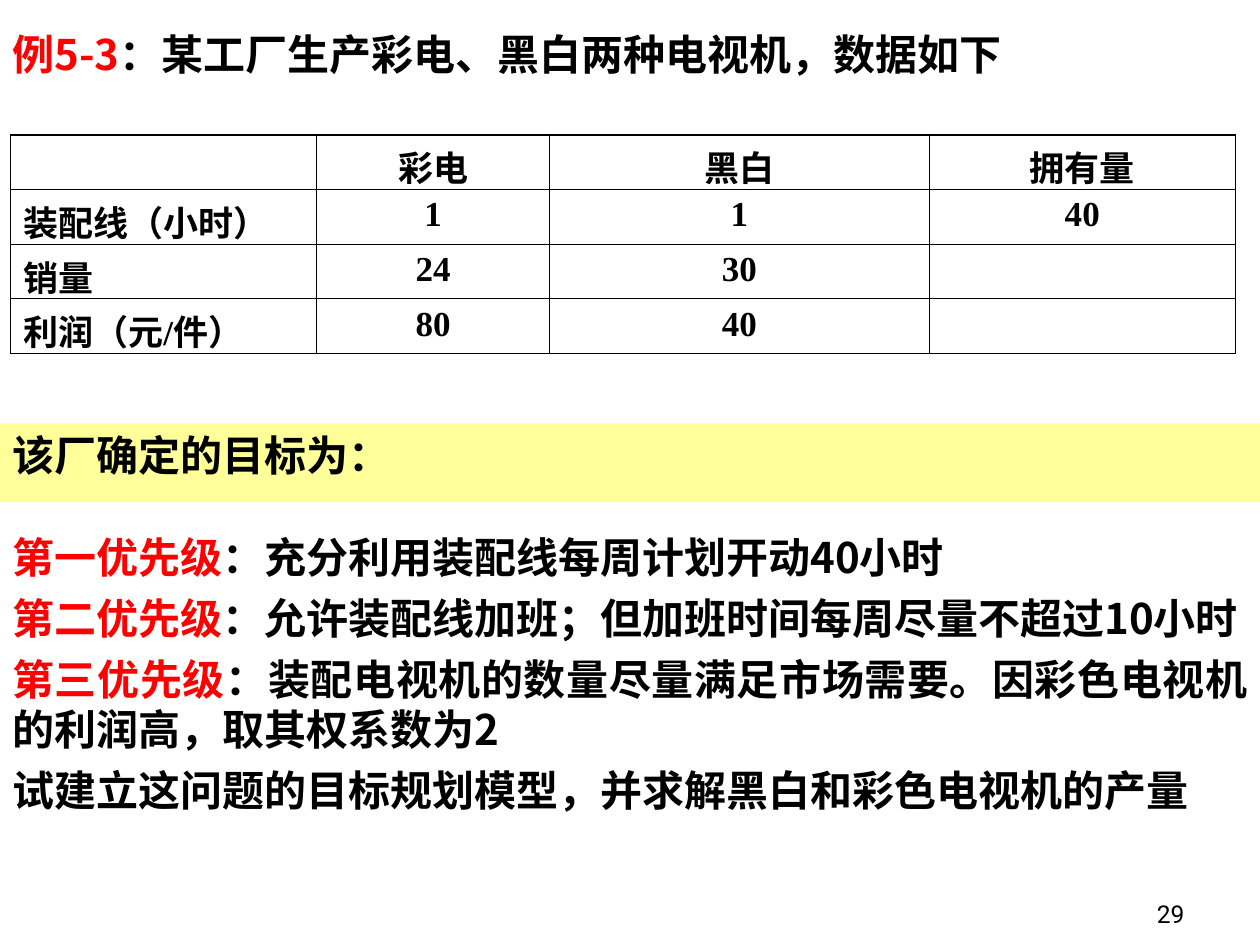
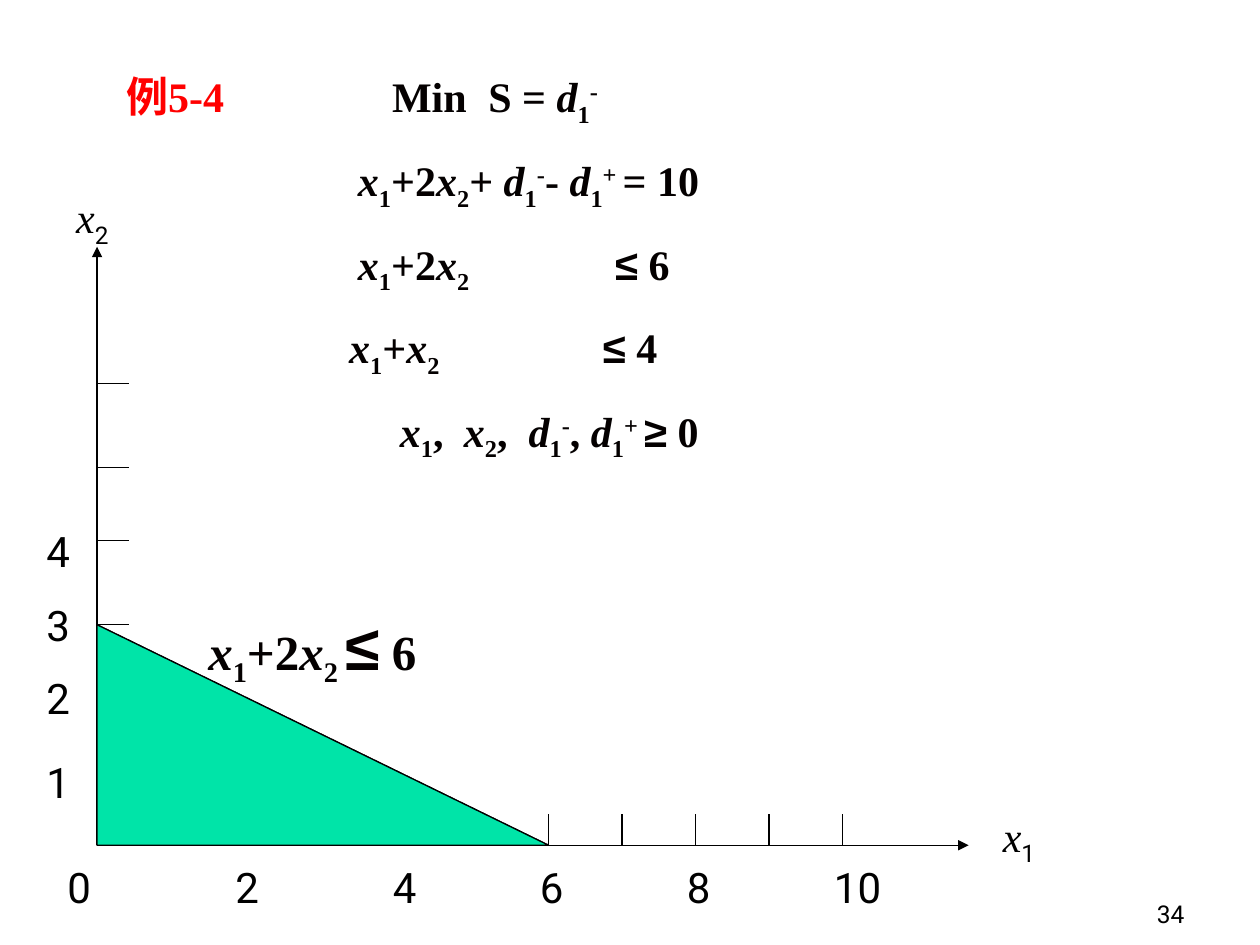
from itertools import accumulate, groupby

from lxml import etree
from pptx import Presentation
from pptx.dml.color import RGBColor
from pptx.enum.shapes import MSO_CONNECTOR, MSO_SHAPE
from pptx.enum.text import MSO_ANCHOR, PP_ALIGN
from pptx.oxml.ns import qn
from pptx.util import Pt

BLACK = RGBColor(0x00, 0x00, 0x00)
INK = RGBColor(0x04, 0x00, 0x00)
RED = RGBColor(0xFF, 0x00, 0x00)
YELLOW = RGBColor(0xFF, 0xFF, 0x99)
GREEN = RGBColor(0x00, 0xE4, 0xA8)

CJK = "Noto Sans CJK SC"
SERIF = "Times New Roman"
SANS = "Roboto"
SYMBOL = "Arial"

EXAMPLE = [("例5-3", RED), ("：某工厂生产彩电、黑白两种电视机，数据如下", BLACK)]
TV_DATA = [
    ["", "彩电", "黑白", "拥有量"],
    ["装配线（小时）", "1", "1", "40"],
    ["销量", "24", "30", ""],
    ["利润（元/件）", "80", "40", ""],
]
COLUMN_WIDTHS = [175, 133, 217, 175]
ROW_HEIGHT = 31
GOAL_HEADING = [("该厂确定的目标为：", BLACK)]
GOALS = [
    [("第一优先级", RED), ("：充分利用装配线每周计划开动40小时", BLACK)],
    [("第二优先级", RED), ("：允许装配线加班；但加班时间每周尽量不超过10小时", BLACK)],
    [("第三优先级", RED),
     ("：装配电视机的数量尽量满足市场需要。因彩色电视机的利润高，取其权系数为2", BLACK)],
    [("试建立这问题的目标规划模型，并求解黑白和彩色电视机的产量", BLACK)],
]

MODEL_LABEL = "例5-4"
MODEL = [
    ([152, 207], "\tMin\tS = d_1^-"),
    ([132.5], "\tx_1+2x_2+ d_1^-- d_1^+^ = 10"),
    ([132.5, 279.5], "\tx_1+2x_2\t≤ 6"),
    ([127.5, 272.5], "\tx_1+x_2\t≤ 4"),
    ([156.5, 193, 230], "\tx_1,\tx_2,\td_1^-, d_1^+^ ≥ 0"),
]
REGION_FORMULA = "x_1+2x_2_ ≤ 6"
ORIGIN_X, ORIGIN_Y = 55.5, 483
AXIS_RIGHT, AXIS_TOP = 553.5, 141
TICK = 18
X_TICKS = list(accumulate([42, 42, 42, 48] + [42] * 6, initial=ORIGIN_X))
Y_TICKS = list(accumulate([-42, -42, -42, -48, -42, -48], initial=ORIGIN_Y))
X_LABELS = [("0", 31.5)] + [(str(n), X_TICKS[n] - 12) for n in range(2, 11, 2)]
Y_LABELS = [("1", 429), ("2", 381), ("3", 339), ("4", 297)]
AXIS_NAMES = [("1", 566, 459.5), ("2", 36.5, 106)]


def add_span(para, text, size, font, color=BLACK, bold=False, italic=False, baseline=0):
    span = para.add_run()
    span.text = text
    span.font.size = Pt(size)
    span.font.name = font
    span.font.bold = bold
    span.font.italic = italic
    span.font.color.rgb = color
    properties = span._r.get_or_add_rPr()
    properties.find(qn("a:latin")).addnext(
        etree.Element(qn("a:ea"), typeface=CJK))
    if baseline:
        properties.set("baseline", str(baseline * 1000))


def set_frame(shape, anchor=MSO_ANCHOR.TOP):
    frame = shape.text_frame
    frame.word_wrap = shape.width > Pt(100)
    frame.vertical_anchor = anchor
    return frame


def add_box(page, left, top, width, height, anchor=MSO_ANCHOR.TOP):
    box = page.shapes.add_textbox(Pt(left), Pt(top), Pt(width), Pt(height))
    return set_frame(box, anchor)


def next_para(frame, index, space):
    if index == 0:
        return frame.paragraphs[0]
    para = frame.add_paragraph()
    para.space_before = Pt(space)
    return para


def write_colored(para, parts):
    for text, color in parts:
        add_span(para, text, 24, CJK, color, bold=True)


def write_formula(para, formula, size, symbol_size):
    marked = []
    baseline = 0
    for char in formula:
        if char in "_^":
            baseline = -25 if char == "_" else 30
            continue
        marked.append((char, (char in "xd", char in "≤≥", baseline)))
        baseline = 0
    for (italic, symbol, level), group in groupby(marked, key=lambda item: item[1]):
        add_span(para, "".join(char for char, _ in group),
                 symbol_size if symbol else size, SYMBOL if symbol else SERIF,
                 INK, True, italic, level)


def set_tabs(para, stops):
    tabs = etree.SubElement(para._p.get_or_add_pPr(), qn("a:tabLst"))
    for stop in stops:
        etree.SubElement(tabs, qn("a:tab"), pos=str(Pt(stop)), algn="l")


def add_page(deck, number):
    page = deck.slides.add_slide(deck.slide_layouts[6])
    para = add_box(page, 534, 498, 150, 36, MSO_ANCHOR.BOTTOM).paragraphs[0]
    para.alignment = PP_ALIGN.RIGHT
    add_span(para, number, 14, SANS)
    return page


def add_line(page, x1, y1, x2, y2, arrow=False):
    line = page.shapes.add_connector(
        MSO_CONNECTOR.STRAIGHT, Pt(x1), Pt(y1), Pt(x2), Pt(y2))
    line.line.color.rgb = BLACK
    line.line.width = Pt(0.75)
    if arrow:
        etree.SubElement(line.line._get_or_add_ln(), qn("a:tailEnd"), type="triangle")
    etree.SubElement(line._element.spPr, qn("a:effectLst"))


def set_borders(cell, widths):
    properties = cell._tc.get_or_add_tcPr()
    for index, (side, width) in enumerate(widths.items()):
        border = etree.Element(qn("a:ln" + side), w=str(Pt(width)))
        fill = etree.SubElement(border, qn("a:solidFill"))
        etree.SubElement(fill, qn("a:srgbClr"), val=str(BLACK))
        properties.insert(index, border)


def add_tv_table(page):
    last_row, last_column = len(TV_DATA) - 1, len(COLUMN_WIDTHS) - 1
    table = page.shapes.add_table(
        len(TV_DATA), len(COLUMN_WIDTHS), Pt(6), Pt(77),
        Pt(sum(COLUMN_WIDTHS)), Pt(ROW_HEIGHT * len(TV_DATA))).table
    table.first_row = False
    table.horz_banding = False
    for column, width in zip(table.columns, COLUMN_WIDTHS):
        column.width = Pt(width)
    for r, row in enumerate(TV_DATA):
        for c, text in enumerate(row):
            cell = table.cell(r, c)
            cell.fill.background()
            outer = {"L": c == 0, "R": c == last_column, "T": r == 0, "B": r == last_row}
            set_borders(cell, {side: 1.08 if edge else 0.45 for side, edge in outer.items()})
            if text:
                para = cell.text_frame.paragraphs[0]
                para.alignment = PP_ALIGN.LEFT if c == 0 else PP_ALIGN.CENTER
                add_span(para, text, 20, SERIF, bold=True)


def build_example(deck):
    page = add_page(deck, "29")
    add_tv_table(page)
    write_colored(add_box(page, 0, 13, 594, 36).paragraphs[0], EXAMPLE)

    band = page.shapes.add_shape(MSO_SHAPE.RECTANGLE, 0, Pt(242), Pt(720), Pt(45))
    band.shadow.inherit = False
    band.fill.solid()
    band.fill.fore_color.rgb = YELLOW
    band.line.fill.background()
    heading = set_frame(band).paragraphs[0]
    heading.alignment = PP_ALIGN.LEFT
    write_colored(heading, GOAL_HEADING)

    goals = add_box(page, 0, 300, 720, 231)
    for index, parts in enumerate(GOALS):
        para = next_para(goals, index, 6)
        para.alignment = PP_ALIGN.JUSTIFY if len(parts) > 1 else PP_ALIGN.LEFT
        write_colored(para, parts)


def build_graph(deck):
    page = add_page(deck, "34")
    add_line(page, ORIGIN_X, ORIGIN_Y, AXIS_RIGHT, ORIGIN_Y, arrow=True)
    add_line(page, ORIGIN_X, ORIGIN_Y, ORIGIN_X, AXIS_TOP, arrow=True)
    for x in X_TICKS[1:]:
        add_line(page, x, ORIGIN_Y, x, ORIGIN_Y - TICK)
    for y in Y_TICKS[1:]:
        add_line(page, ORIGIN_X, y, ORIGIN_X + TICK, y)
    add_line(page, ORIGIN_X, Y_TICKS[3], X_TICKS[6], ORIGIN_Y)

    places = [(text, left, 489) for text, left in X_LABELS]
    places += [(text, 19.5, top) for text, top in Y_LABELS]
    for text, left, top in places:
        para = add_box(page, left, top, 30 if len(text) == 1 else 42, 36).paragraphs[0]
        add_span(para, text, 24, SANS)
    for subscript, left, top in AXIS_NAMES:
        para = add_box(page, left, top, 45, 40).paragraphs[0]
        add_span(para, "x", 24, SERIF, italic=True)
        add_span(para, subscript, 24, SANS, baseline=-25)

    outline = page.shapes.build_freeform(Pt(ORIGIN_X), Pt(ORIGIN_Y))
    outline.add_line_segments([(Pt(X_TICKS[6]), Pt(ORIGIN_Y)),
                               (Pt(ORIGIN_X), Pt(Y_TICKS[3]))], close=True)
    region = outline.convert_to_shape()
    region.shadow.inherit = False
    region.fill.solid()
    region.fill.fore_color.rgb = GREEN
    region.line.color.rgb = BLACK
    region.line.width = Pt(0.75)

    model = add_box(page, 65, 37, 618, 231)
    for index, (stops, formula) in enumerate(MODEL):
        para = next_para(model, index, 15)
        set_tabs(para, stops)
        if index == 0:
            add_span(para, MODEL_LABEL, 24, SERIF, RED, bold=True)
        write_formula(para, formula, 24, 24)
    write_formula(add_box(page, 112, 343.5, 180, 53).paragraphs[0], REGION_FORMULA, 28, 36)


def main():
    deck = Presentation()
    deck.slide_width, deck.slide_height = Pt(720), Pt(540)
    build_example(deck)
    build_graph(deck)
    deck.save("out.pptx")


if __name__ == "__main__":
    main()
